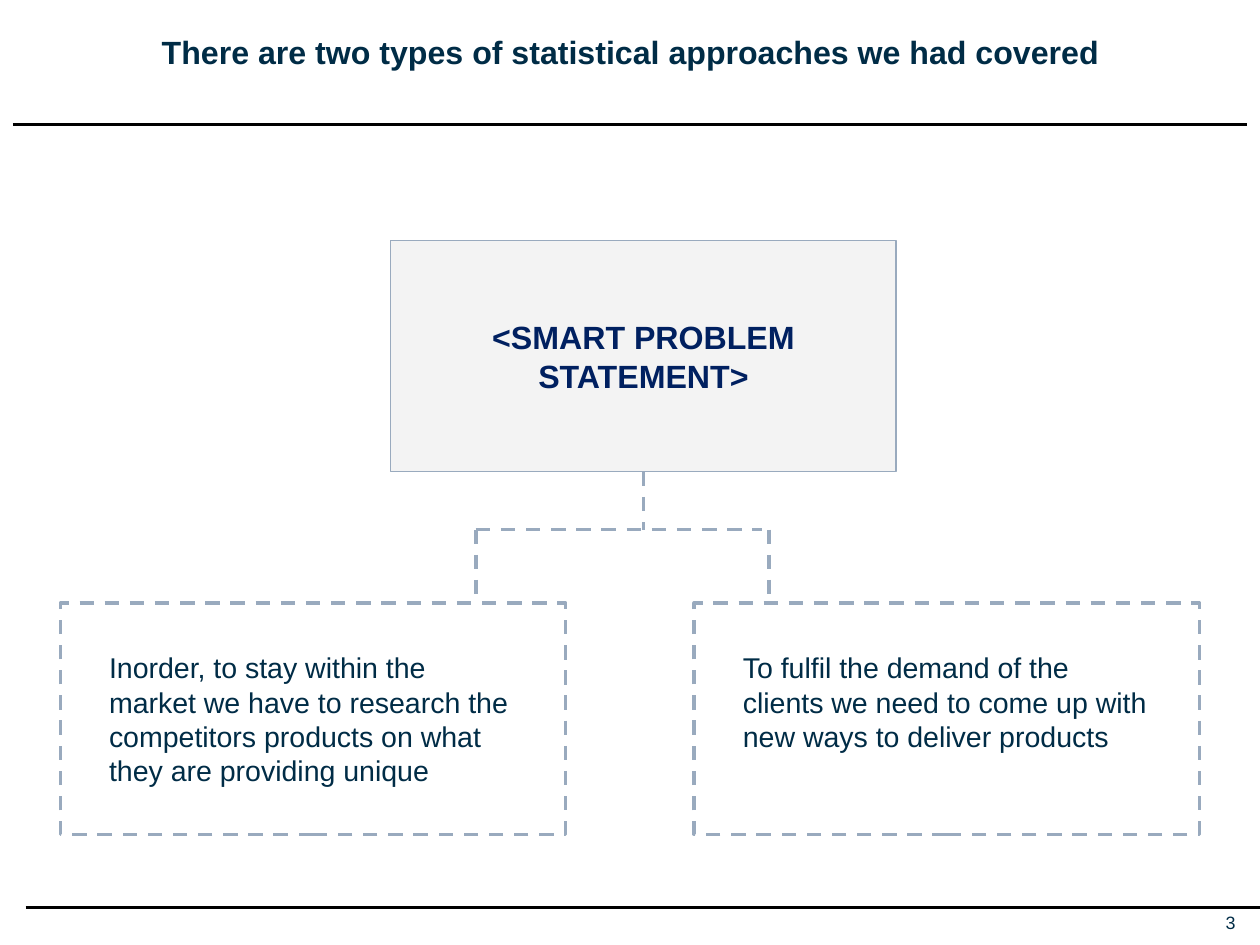
from lxml.etree import SubElement
from pptx import Presentation
from pptx.dml.color import RGBColor
from pptx.enum.dml import MSO_LINE_DASH_STYLE as Dash
from pptx.enum.shapes import MSO_CONNECTOR as Connector, MSO_SHAPE as Shape
from pptx.enum.text import MSO_ANCHOR as Anchor, PP_ALIGN as Align
from pptx.oxml.ns import qn
from pptx.util import Inches, Pt

BLACK = RGBColor(0x00, 0x00, 0x00)
INK = RGBColor(0x00, 0x2C, 0x46)
NAVY = RGBColor(0x00, 0x20, 0x60)
STEEL = RGBColor(0x99, 0xAA, 0xBE)
PALE = RGBColor(0xF2, 0xF2, 0xF2)

BOX_WIDTH, BOX_HEIGHT = 3.93, 1.8
PROBLEM_LEFT, PROBLEM_TOP = 3.04, 1.87
APPROACH_TOP, BRANCH_Y = 4.69, 4.12
APPROACHES = [
    (0.47, 3.7, 1.18, "Inorder, to stay within the market we have to research "
     "the competitors products on what they are providing unique"),
    (5.4, 5.98, 0.91, "To fulfil the demand of the clients we need to come up "
     "with new ways to deliver products"),
]


class SlideBuilder:
    font = "Arial"

    def __init__(self, page):
        self.page = page

    def label(self, shape, text, size, color=INK, bold=False, align=Align.LEFT,
              anchor=Anchor.TOP, margins=(0, 0)):
        frame = shape.text_frame
        frame.word_wrap = True
        frame.vertical_anchor = anchor
        frame.margin_left = frame.margin_right = Inches(margins[0])
        frame.margin_top = frame.margin_bottom = Inches(margins[1])
        frame.text = text
        para = frame.paragraphs[0]
        para.alignment = align
        font = para.runs[0].font
        font.name, font.size, font.bold = self.font, Pt(size), bold
        font.color.rgb = color

    def text(self, left, top, width, height, text, size, **style):
        box = self.page.shapes.add_textbox(*map(Inches, (left, top, width, height)))
        self.label(box, text, size, **style)

    def outline(self, shape, color, width, dash=None):
        shape.line.color.rgb = color
        shape.line.width = Pt(width)
        if dash:
            shape.line.dash_style = dash

    def box(self, left, top, line_width, dash=None, fill=None, opacity=100):
        box = self.page.shapes.add_shape(
            Shape.RECTANGLE, *map(Inches, (left, top, BOX_WIDTH, BOX_HEIGHT)))
        box.shadow.inherit = False
        self.outline(box, STEEL, line_width, dash)
        if fill is None:
            box.fill.background()
        else:
            box.fill.solid()
            box.fill.fore_color.rgb = fill
            tint = box._element.spPr.find(qn("a:solidFill"))[0]
            SubElement(tint, qn("a:alpha"), val=str(opacity * 1000))
        return box

    def line(self, x1, y1, x2, y2, color=STEEL, dash=Dash.DASH):
        line = self.page.shapes.add_connector(
            Connector.STRAIGHT, *map(Inches, (x1, y1, x2, y2)))
        self.outline(line, color, 2, dash)
        SubElement(line._element.spPr, qn("a:effectLst"))
        return line


def main():
    deck = Presentation()
    deck.slide_width, deck.slide_height = Inches(9.8), Inches(7.35)
    builder = SlideBuilder(deck.slides.add_slide(deck.slide_layouts[6]))

    builder.text(9.44, 7.09, 0.17, 0.17, "3", 10, align=Align.RIGHT,
                 anchor=Anchor.MIDDLE)
    builder.line(0.1, 0.97, 9.7, 0.97, BLACK, None)
    builder.text(0.19, 0.25, 9.43, 0.3,
                 "There are two types of statistical approaches we had covered",
                 18, bold=True, align=Align.CENTER)
    builder.line(0.2, 7.06, 9.8, 7.06, BLACK, None)

    problem = builder.box(PROBLEM_LEFT, PROBLEM_TOP, 0.75, fill=PALE, opacity=85)
    builder.label(problem, "<SMART PROBLEM STATEMENT>", 18, color=NAVY, bold=True,
                  align=Align.CENTER, anchor=Anchor.MIDDLE)

    for left, branch_x, text_height, text in APPROACHES:
        builder.box(left, APPROACH_TOP, 2, Dash.DASH)
        builder.line(branch_x, BRANCH_Y, branch_x, APPROACH_TOP)
        builder.text(left + 0.28, APPROACH_TOP + 0.32, 3.37, text_height, text, 16,
                     margins=(0.1, 0.05))

    builder.line(3.7, BRANCH_Y, 5.93, BRANCH_Y)
    trunk_x = PROBLEM_LEFT + BOX_WIDTH / 2
    trunk = builder.line(trunk_x, PROBLEM_TOP + BOX_HEIGHT, trunk_x, BRANCH_Y)
    trunk.begin_connect(problem, 2)

    deck.save("out.pptx")


if __name__ == "__main__":
    main()
